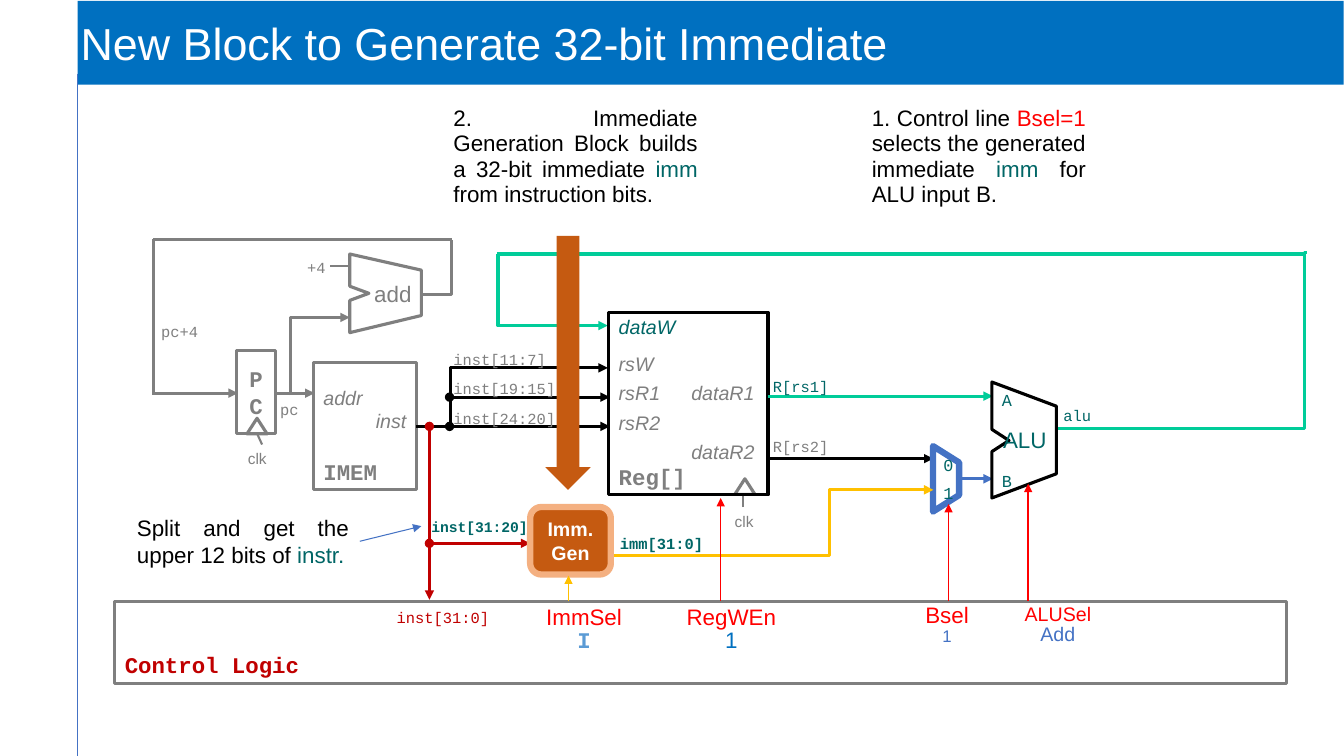
from lxml import etree
from pptx import Presentation
from pptx import util as u
from pptx.dml.color import RGBColor
from pptx.enum import shapes, text
from pptx.oxml.ns import qn

HUE = dict(bar="0070C0", white="FFFFFF", black="000000", gray="7F7F7F", teal="006666",
           mint="00CC99", red="FF0000", dark="C00000", gold="FFC000", blue="4472C4",
           sky="5B9BD5", rust="C55A11", peach="F4B081")
SANS, MONO = "Arial", "Courier New"
KIND = shapes.MSO_SHAPE
ALIGN = dict(l=text.PP_ALIGN.LEFT, c=text.PP_ALIGN.CENTER,
             r=text.PP_ALIGN.RIGHT, j=text.PP_ALIGN.JUSTIFY)
ANCHOR = dict(t=text.MSO_ANCHOR.TOP, m=text.MSO_ANCHOR.MIDDLE, b=text.MSO_ANCHOR.BOTTOM)


def rgb(name):
    return RGBColor.from_string(HUE[name])


def node(parent, tag, **attrs):
    return etree.SubElement(parent, qn(tag), attrs)


def write(frame, paras, anchor="t", wrap=True, pad=None, **base):
    """Fill a frame; a paragraph is a string or a list of (string, format) runs."""
    frame.auto_size = text.MSO_AUTO_SIZE.NONE
    frame.word_wrap = wrap
    frame.vertical_anchor = ANCHOR[anchor]
    if pad is not None:
        frame.margin_left = frame.margin_right = u.Inches(pad)
        frame.margin_top = frame.margin_bottom = u.Inches(pad)
    for i, runs in enumerate([paras] if isinstance(paras, str) else paras):
        para = frame.paragraphs[0] if i == 0 else frame.add_paragraph()
        runs = [(runs, {})] if isinstance(runs, str) else runs
        look = {**base, **runs[0][1]}
        para.alignment = ALIGN[look.get("align", "l")]
        para.line_spacing = look.get("lead", 1.0)
        para.space_before = u.Pt(look.get("before", 0))
        if "tab" in look:
            stops = node(para._p.get_or_add_pPr(), "a:tabLst")
            node(stops, "a:tab", pos=str(u.Inches(look["tab"])), algn="l")
        for words, extra in runs:
            look = {**base, **extra}
            run = para.add_run()
            run.text = words
            run.font.name = look.get("face", SANS)
            run.font.size = u.Pt(look.get("size", 16))
            run.font.color.rgb = rgb(look.get("hue", "black"))
            run.font.bold = look.get("bold", False)
            run.font.italic = look.get("slant", False)


class Board:
    """Draws on a slide ruled into 133.33 columns by 75 rows."""
    cols, rows = 133.33, 75

    def __init__(self, deck):
        self.deck = deck
        self.slide = deck.slides.add_slide(deck.slide_layouts[5])
        self.pool = self.slide.shapes

    def x(self, col):
        return u.Emu(round(self.deck.slide_width * col / self.cols))

    def y(self, row):
        return u.Emu(round(self.deck.slide_height * row / self.rows))

    def area(self, left, top, wide, high):
        return self.x(left), self.y(top), self.x(wide), self.y(high)

    def title(self, area, words):
        head = self.pool.title
        head.left, head.top, head.width, head.height = self.area(*area)
        head.fill.solid()
        head.fill.fore_color.rgb = rgb("bar")
        write(head.text_frame, words, anchor="m", pad=0.03, size=32, hue="white")

    def paint(self, shape, fill, line, width):
        shape.shadow.inherit = False
        if fill:
            shape.fill.solid()
            shape.fill.fore_color.rgb = rgb(fill)
        else:
            shape.fill.background()
        if line:
            shape.line.color.rgb = rgb(line)
            shape.line.width = u.Pt(width)
        else:
            shape.line.fill.background()

    def box(self, area, paras=None, kind=KIND.RECTANGLE, fill=None, line="gray",
            width=2.25, adj=None, turn=0, **look):
        shape = self.pool.add_shape(kind, *self.area(*area))
        self.paint(shape, fill, line, width)
        shape.rotation = turn
        if adj is not None:
            shape.adjustments[0] = adj
        if paras:
            write(shape.text_frame, paras, **look)

    def form(self, points, paras, line, **look):
        spots = [(self.x(a), self.y(b)) for a, b in points]
        pen = self.pool.build_freeform(*spots[0])
        pen.add_line_segments(spots[1:], close=True)
        shape = pen.convert_to_shape()
        self.paint(shape, None, line, 2.25)
        write(shape.text_frame, paras, anchor="m", **look)

    def note(self, area, paras, **look):
        write(self.pool.add_textbox(*self.area(*area)).text_frame, paras, **look)

    def label(self, left, top, words, wide, **look):
        look = dict(size=11, face=MONO, hue="gray", wrap=False) | look
        self.note((left, top, wide, 2.9), words, **look)

    def wire(self, start, end, hue="gray", width=2.25, bend=None, dot=False, tip=True):
        """Straight line, or an elbow that turns at the share `bend` of its width."""
        kind = shapes.MSO_CONNECTOR
        kind = kind.STRAIGHT if bend is None else kind.ELBOW
        link = self.pool.add_connector(kind, self.x(start[0]), self.y(start[1]),
                                       self.x(end[0]), self.y(end[1]))
        link.line.color.rgb = rgb(hue)
        link.line.width = u.Pt(width)
        prop = link._element.spPr
        if bend is not None:
            guides = prop.find(qn("a:prstGeom")).find(qn("a:avLst"))
            node(guides, "a:gd", name="adj1", fmla=f"val {round(bend * 100000)}")
        ends = prop.find(qn("a:ln"))
        if dot:
            node(ends, "a:headEnd", type="oval")
        if tip:
            node(ends, "a:tailEnd", type="triangle")
        node(prop, "a:effectLst")


def main():
    deck = Presentation()
    deck.slide_width, deck.slide_height = u.Inches(13.33), u.Inches(7.5)
    b = Board(deck)

    # Title bar and margin rule
    b.title((7.7, 0.1, 125.6, 8.3), "New Block to Generate 32-bit Immediate")
    b.wire((7.7, 7.3), (7.7, 75), "blue", 0.75, tip=False)

    # Write-back path
    b.wire((49.3, 25.2), (129.6, 25.2), "mint", tip=False)
    b.wire((49.4, 25.2), (60.3, 32.3), "mint", bend=0)
    b.wire((104.8, 42.5), (129.7, 25.1), "mint", bend=0.99, tip=False)

    # Program counter, adder and instruction memory
    b.box((31.1, 36, 10.2, 12.6),
          ["addr", [("inst", dict(align="r"))],
           [("IMEM", dict(size=16, face=MONO, slant=False, bold=True, before=18))]],
          anchor="b", size=14, hue="gray", slant=True)
    b.form([(34.7, 25.2), (34.7, 28.4), (36.6, 29.1), (34.7, 29.8), (34.7, 33),
            (41.8, 31.3), (41.8, 26.8)], "add", "gray", align="r", hue="gray")
    b.box((23.5, 34.8, 3.8, 8.2), "PC", anchor="m", pad=0.07, align="c",
          face=MONO, hue="gray", bold=True)
    for left, top in ((24.5, 41.5), (72.9, 47.5)):
        b.box((left, top, 2, 1.55), kind=KIND.ISOSCELES_TRIANGLE)
    b.wire((26, 44.1), (25.5, 43), width=1.5, tip=False)
    b.wire((73.7, 50.3), (73.7, 49), width=1.5, tip=False)
    b.wire((27.2, 39), (31.2, 39))
    b.wire((34.7, 26.4), (32.7, 26.4), width=1.5, tip=False)
    b.wire((28.8, 39.2), (34.7, 31.5), bend=0)
    b.wire((41.8, 29.2), (44.8, 23.8), bend=1, tip=False)
    b.wire((15.2, 23.8), (44.8, 23.8), tip=False)
    b.wire((15.2, 23.7), (15.2, 39.2), tip=False)
    b.wire((15.2, 39), (23.6, 39))

    # Instruction fields
    b.wire((41.3, 42.3), (60.3, 36.5), "black", bend=0.18)
    for row in (39.4, 42.3):
        b.wire((44.6, row), (60.5, row), "black", dot=True)
    b.wire((42.6, 42.3), (42.6, 59.5), "dark", dot=True)
    b.note((44, 34.2, 12.2, 8.8),
           ["inst[11:7]"] + [[(s, dict(before=8))] for s in ("inst[19:15]", "inst[24:20]")],
           size=11, face=MONO, hue="gray", wrap=False)

    # Control logic and register file
    b.box((11.4, 59.7, 116.2, 8.1), "Control Logic", anchor="b", face=MONO,
          hue="dark", bold=True)
    port = dict(before=4, tab=0.72)
    b.box((60.4, 31, 15.8, 18.1),
          [[("dataW", dict(hue="teal"))], [("rsW", dict(before=10))],
           [("rsR1\tdataR1", port)], [("rsR2", port)], [("\tdataR2", port)],
           [("Reg[]", dict(size=16, face=MONO, slant=False, bold=True))]],
          line="black", anchor="b", size=14, hue="gray", slant=True)

    # Operands, mux and ALU
    b.wire((76.2, 39.3), (98.5, 39.3), "mint")
    b.wire((76.3, 45.5), (92.6, 45.5), "black")
    b.wire((95.2, 47.5), (98.5, 47.5), "blue")
    b.form([(98.4, 37.9), (98.4, 42.6), (100.1, 43.7), (98.4, 44.8), (98.4, 49.4),
            (104.8, 47), (104.8, 40.3)],
           ["A", [("ALU", dict(align="r", before=12, size=16, face=SANS))],
            [("B", dict(before=12))]], "black", size=12, face=MONO, hue="teal")
    b.box((90.6, 46.2, 6.5, 2.6), kind=KIND.TRAPEZOID, turn=90, adj=0.63,
          line="blue", width=4.5)
    b.note((92.6, 45.3, 2.1, 4.4), ["0", [("1", dict(before=6))]],
           anchor="m", align="c", size=12, face=MONO, hue="teal")

    # Immediate generator
    b.wire((60.4, 55.1), (92.6, 48.6), "gold", bend=0.68)
    b.wire((42.6, 53.9), (52.6, 53.9), "dark", dot=True)
    b.box((52.6, 50.3, 8, 6.7), "Imm. Gen", kind=KIND.ROUNDED_RECTANGLE, fill="rust",
          line="peach", width=4.5, anchor="m", align="c", size=14, hue="white", bold=True)

    # Control lines
    for col, end, hue in ((56.4, 57.1, "gold"), (71.5, 49.4, "red"),
                          (94.1, 50, "red"), (102, 48, "red")):
        b.wire((col, 59.6), (col, end), hue, 1)
    for left, top, wide, name, size, value, look in (
            (52.3, 59.8, 11.3, "ImmSel", 16, "I", dict(face=MONO, hue="sky", bold=True)),
            (66.2, 59.8, 12.7, "RegWEn", 16, "1", dict(hue="bar")),
            (90.5, 59.6, 6.9, "Bsel", 16, "1", dict(size=12, hue="blue")),
            (100, 59.6, 9.9, "ALUSel", 14, "Add", dict(hue="blue"))):
        b.note((left, top, wide, 5.4), [name, [(value, look)]], wrap=False,
               align="c", lead=0.85, size=size, hue="red")

    # Signal names
    bold = dict(hue="teal", bold=True)
    for left, top, words, wide, look in (
            (75.7, 36.9, "R[rs1]", 7.6, dict(hue="teal")),
            (75.7, 42.9, "R[rs2]", 7.6, {}),
            (23.6, 44.1, "clk", 4.8, dict(face=SANS)),
            (71.9, 50.3, "clk", 4.8, dict(face=SANS)),
            (26.8, 39.2, "pc", 3.9, {}),
            (29.4, 25.1, "+4", 3.9, dict(align="r")),
            (15, 31.5, "pc+4", 5.7, {}),
            (104.5, 39.8, "alu", 4.8, dict(hue="teal")),
            (38.3, 60.1, "inst[31:0]", 11.3, dict(hue="dark", align="c", lead=0.85)),
            (41.8, 50.9, "inst[31:20]", 11.7, bold | dict(size=10.5)),
            (60.5, 52.5, "imm[31:0]", 10.4, bold)):
        b.label(left, top, words, wide, **look)

    # Explanations and pointers
    teal = dict(hue="teal")
    b.note((12.6, 50.5, 23, 6.4), [[("Split and get the upper 12 bits of ", {}),
                                    ("instr.", teal)]], align="j")
    b.wire((35.7, 53.7), (41.8, 52.2), "blue", 0.75)
    b.note((85.5, 10, 23.2, 11.2),
           [[("1. Control line ", {}), ("Bsel=1", dict(hue="red")),
             (" selects the generated immediate ", {}), ("imm", teal),
             (" for ALU input B.", {})]], align="j", lead=0.95)
    b.note((44, 10, 26.2, 11.2),
           [[("2. Immediate Generation Block builds a 32-bit immediate ", {}),
             ("imm", teal), (" from instruction bits.", {})]], align="j", lead=0.95)
    b.box((54.1, 23.4, 4.5, 25.2), kind=KIND.DOWN_ARROW, fill="rust", line=None)

    deck.save("out.pptx")


if __name__ == "__main__":
    main()
